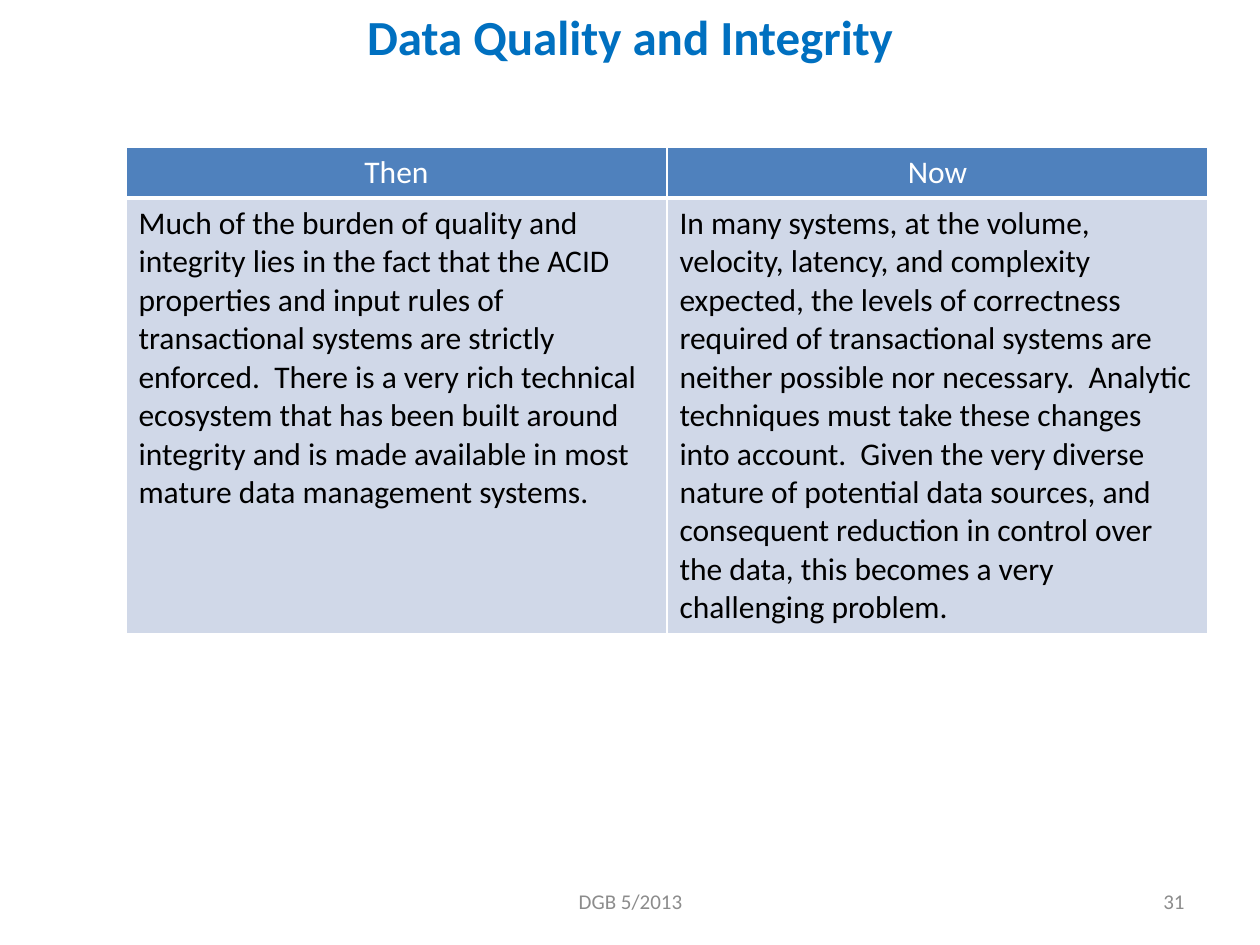
import pptx
import pptx.dml.color
import pptx.enum.text
import pptx.oxml
import pptx.oxml.ns
import pptx.util

RGBColor = pptx.dml.color.RGBColor
Align = pptx.enum.text.PP_ALIGN
Anchor = pptx.enum.text.MSO_ANCHOR

TITLE_BLUE = RGBColor(0x00, 0x70, 0xC0)
HEADER_BLUE = RGBColor(0x4F, 0x81, 0xBD)
BODY_BLUE = RGBColor(0xD0, 0xD8, 0xE8)
WHITE = RGBColor(0xFF, 0xFF, 0xFF)
BLACK = RGBColor(0x00, 0x00, 0x00)
FOOTER_GRAY = RGBColor(0x8C, 0x8C, 0x8C)

EMU_PER_PX = 914400 / 126

THEN = (
    "Much of the burden of quality and integrity lies in the fact that the ACID "
    "properties and input rules of transactional systems are strictly enforced.  "
    "There is a very rich technical ecosystem that has been built around integrity "
    "and is made available in most mature data management systems."
)
NOW = (
    "In many systems, at the volume,  velocity, latency, and complexity expected, "
    "the levels of correctness required of transactional systems are neither "
    "possible nor necessary.  Analytic techniques must take these changes into "
    "account.  Given the very diverse nature of potential data sources, and "
    "consequent reduction in control over the data, this becomes a very "
    "challenging problem."
)


def px(length):
    return pptx.util.Emu(round(length * EMU_PER_PX))


class SlideBuilder:
    font_name = "Calibri"

    def __init__(self, slide):
        self.slide = slide

    def fill_text(self, frame, text, size, color, align=Align.LEFT, bold=False):
        frame.word_wrap = True
        paragraph = frame.paragraphs[0]
        paragraph.alignment = align
        run = paragraph.add_run()
        run.text = text
        font_format = {"name": self.font_name, "size": pptx.util.Pt(size), "bold": bold}
        for attribute, value in font_format.items():
            setattr(run.font, attribute, value)
        run.font.color.rgb = color

    def title(self, text, left, top, width, height):
        heading = self.slide.shapes.title
        place = {"left": left, "top": top, "width": width, "height": height}
        for attribute, value in place.items():
            setattr(heading, attribute, px(value))
        heading.text_frame.vertical_anchor = Anchor.TOP
        self.fill_text(heading.text_frame, text, 28, TITLE_BLUE, Align.CENTER, True)

    def footer(self, text, left, width, align):
        box = self.slide.shapes.add_textbox(px(left), px(876), px(width), px(50))
        box.text_frame.vertical_anchor = Anchor.MIDDLE
        self.fill_text(box.text_frame, text, 12, FOOTER_GRAY, align)

    def border(self, cell, bottom_width):
        """Draw white cell edges, 1 pt except for the bottom one."""
        properties = cell._tc.get_or_add_tcPr()
        for edge, points in (("L", 1), ("R", 1), ("T", 1), ("B", bottom_width)):
            properties.append(pptx.oxml.parse_xml(
                f'<a:ln{edge} {pptx.oxml.ns.nsdecls("a")} w="{pptx.util.Pt(points)}">'
                f'<a:solidFill><a:srgbClr val="{WHITE}"/></a:solidFill></a:ln{edge}>'
            ))

    def comparison(self, rows, left, top, column_width, row_heights):
        table = self.slide.shapes.add_table(
            len(rows), len(rows[0]), px(left), px(top),
            px(column_width * len(rows[0])), px(sum(row_heights)),
        ).table
        for column in table.columns:
            column.width = px(column_width)
        for row, height in zip(table.rows, row_heights):
            row.height = px(height)
        for row_index, texts in enumerate(rows):
            if row_index == 0:
                fill, color, align, bottom = HEADER_BLUE, WHITE, Align.CENTER, 3
            else:
                fill, color, align, bottom = BODY_BLUE, BLACK, Align.LEFT, 1
            for column_index, text in enumerate(texts):
                cell = table.cell(row_index, column_index)
                self.border(cell, bottom)
                cell.fill.solid()
                cell.fill.fore_color.rgb = fill
                self.fill_text(cell.text_frame, text, 18, color, align)


def main():
    presentation = pptx.Presentation()
    presentation.slide_width = px(1260)
    presentation.slide_height = px(945)
    builder = SlideBuilder(presentation.slides.add_slide(presentation.slide_layouts[5]))
    builder.title("Data Quality and Integrity", 63, 0, 1134, 158)
    builder.comparison([("Then", "Now"), (THEN, NOW)], 126, 147, 541, (51, 429))
    builder.footer("DGB 5/2013", 431, 399, Align.CENTER)
    builder.footer("31", 903, 294, Align.RIGHT)
    presentation.save("out.pptx")


if __name__ == "__main__":
    main()
